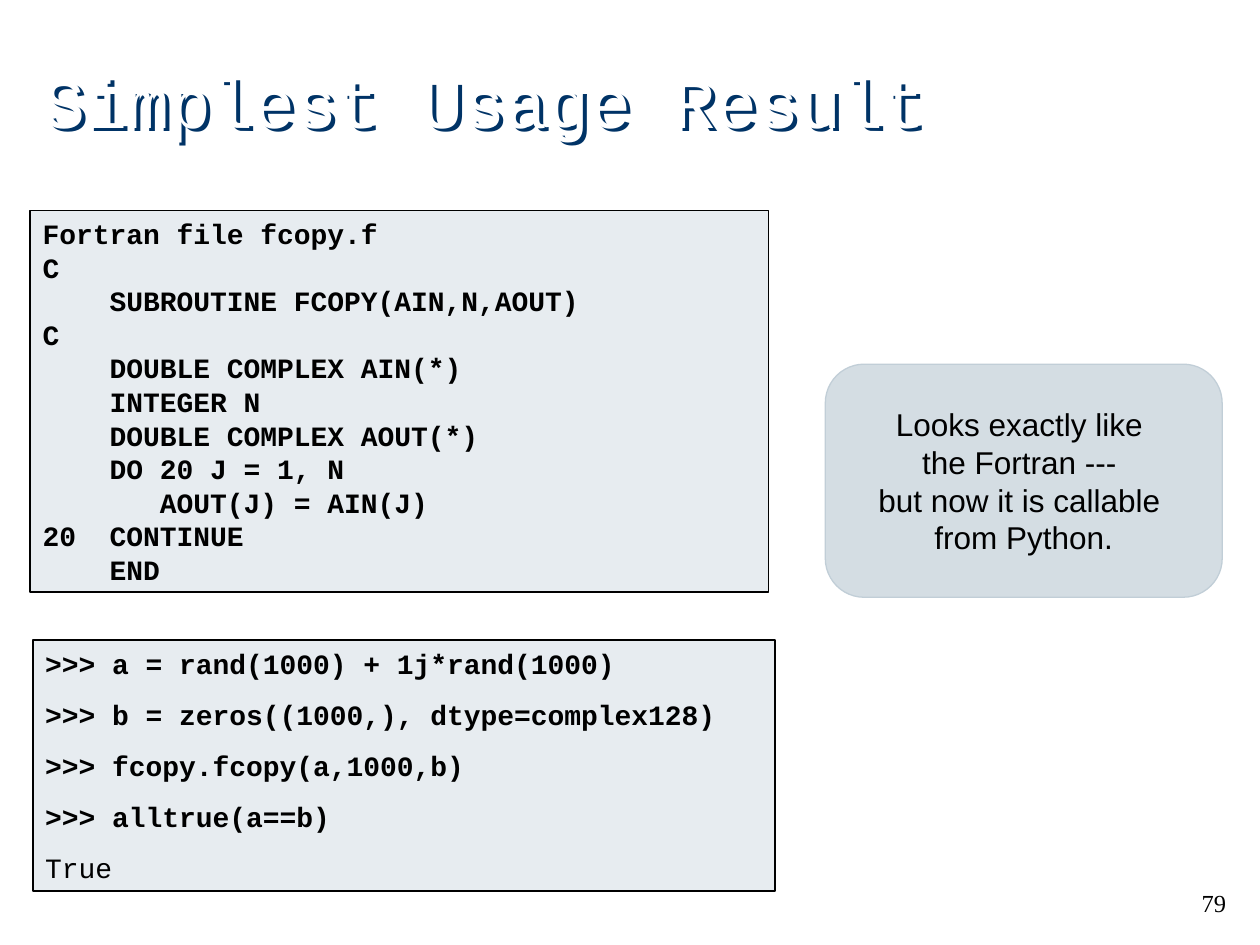
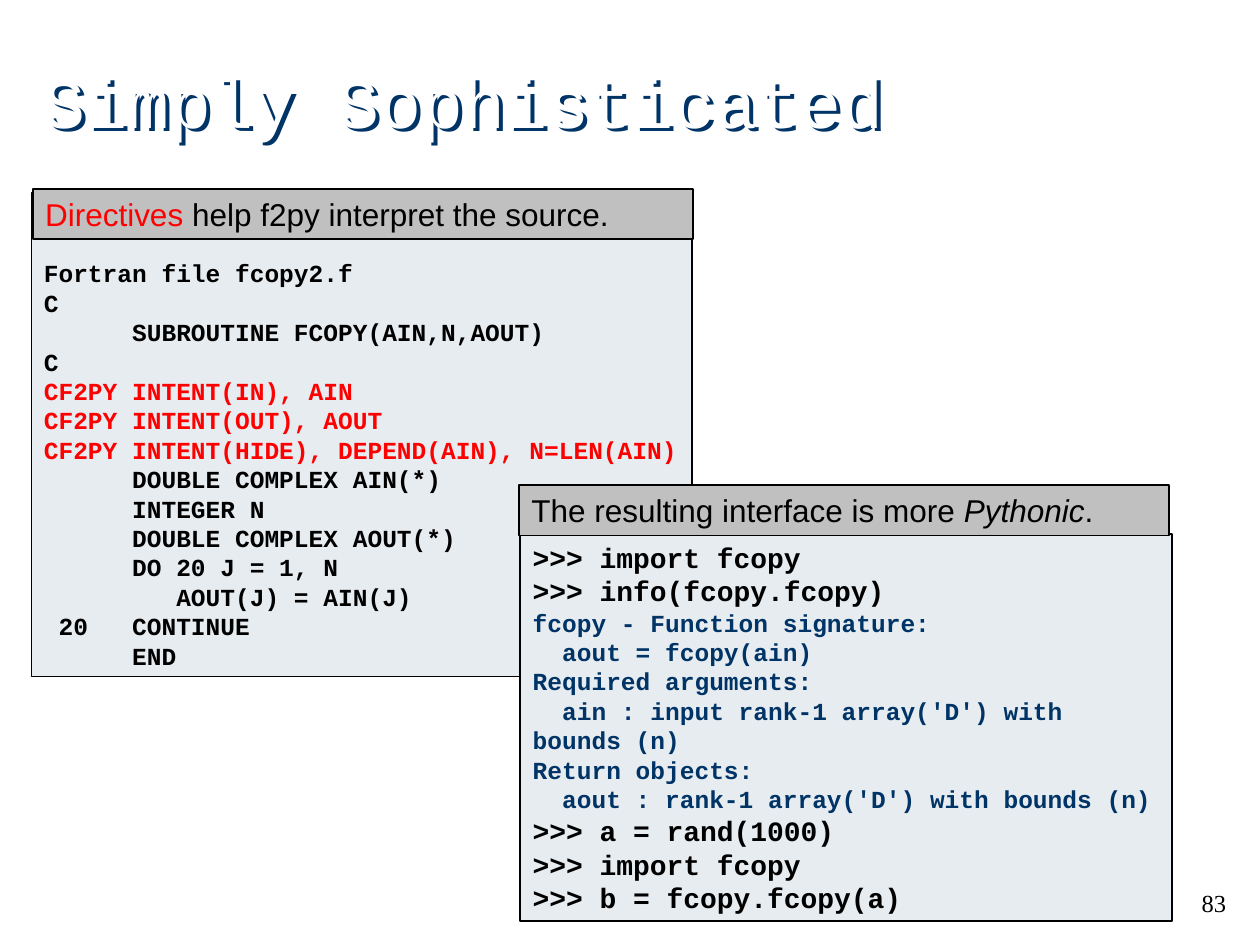
from lxml import etree
from pptx import Presentation
from pptx.dml.color import RGBColor
from pptx.enum.shapes import MSO_SHAPE as Shape
from pptx.enum.text import MSO_ANCHOR as Anchor, PP_ALIGN as Align
from pptx.oxml import parse_xml
from pptx.oxml.ns import nsdecls, qn
from pptx.util import Inches, Pt

# Shared look
WHITE = RGBColor(0xFF, 0xFF, 0xFF)
BLACK = RGBColor(0, 0, 0)
NAVY = RGBColor(0x00, 0x33, 0x66)
RED = RGBColor(0xFF, 0, 0)
CODE_FILL = RGBColor(0xE7, 0xEC, 0xF0)
BAR_FILL = RGBColor(0xC0, 0xC0, 0xC0)
CALLOUT = RGBColor(0xC1, 0xCE, 0xD7)
SANS, MONO, SERIF = "Arial", "Courier New", "Times New Roman"
LINE_HEIGHT = 1.2

FORTRAN = """Fortran file fcopy.f
C
    SUBROUTINE FCOPY(AIN,N,AOUT)
C
    DOUBLE COMPLEX AIN(*)
    INTEGER N
    DOUBLE COMPLEX AOUT(*)
    DO 20 J = 1, N
       AOUT(J) = AIN(J)
20  CONTINUE
    END"""

SESSION = """>>> a = rand(1000) + 1j*rand(1000)
>>> b = zeros((1000,), dtype=complex128)
>>> fcopy.fcopy(a,1000,b)
>>> alltrue(a==b)
True"""

DIRECTIVES = """Fortran file fcopy2.f
C
      SUBROUTINE FCOPY(AIN,N,AOUT)
C
CF2PY INTENT(IN), AIN
CF2PY INTENT(OUT), AOUT
CF2PY INTENT(HIDE), DEPEND(AIN), N=LEN(AIN)
      DOUBLE COMPLEX AIN(*)
      INTEGER N
      DOUBLE COMPLEX AOUT(*)
      DO 20 J = 1, N
         AOUT(J) = AIN(J)
 20   CONTINUE
      END"""

INTERFACE = """>>> import fcopy
>>> info(fcopy.fcopy)
fcopy - Function signature:
  aout = fcopy(ain)
Required arguments:
  ain : input rank-1 array('D') with bounds (n)
Return objects:
  aout : rank-1 array('D') with bounds (n)
>>> a = rand(1000)
>>> import fcopy
>>> b = fcopy.fcopy(a)"""


def add_run(paragraph, text, size, font, color=BLACK, bold=False, italic=False):
    run = paragraph.add_run()
    run.text = text
    run.font.size = Pt(size)
    run.font.name = font
    run.font.color.rgb = color
    run.font.bold = bold
    run.font.italic = italic


def next_paragraph(frame, index):
    return frame.add_paragraph() if index else frame.paragraphs[0]


def add_text_box(slide, place, text, size, font, color=BLACK,
                 align=Align.LEFT, anchor=Anchor.TOP):
    box = slide.shapes.add_textbox(*map(Inches, place))
    frame = box.text_frame
    frame.word_wrap = True
    frame.vertical_anchor = anchor
    frame.paragraphs[0].alignment = align
    add_run(frame.paragraphs[0], text, size, font, color)
    return box


def add_title(slide, text):
    """White title that stands out by its navy shadow."""
    box = add_text_box(slide, (0.25, 0.17, 8.5, 1.25), text, 40, MONO, WHITE,
                       anchor=Anchor.MIDDLE)
    box._element.spPr.append(parse_xml(
        f'<a:effectLst {nsdecls("a")}><a:outerShdw dist="{Inches(0.04)}" '
        f'dir="2700000" algn="ctr" rotWithShape="0">'
        f'<a:srgbClr val="{NAVY}"/></a:outerShdw></a:effectLst>'))


def add_panel(slide, kind, place, fill, line=BLACK, line_width=1.0):
    panel = slide.shapes.add_shape(kind, *map(Inches, place))
    panel.shadow.inherit = False
    panel.fill.solid()
    panel.fill.fore_color.rgb = fill
    panel.line.color.rgb = line
    panel.line.width = Pt(line_width)
    panel.text_frame.word_wrap = True
    panel.text_frame.vertical_anchor = Anchor.MIDDLE
    return panel


def add_code(slide, place, code, style, space_before=0, top_inset=0.05):
    """Code panel; style(line) gives size, colour and bold for each line."""
    frame = add_panel(slide, Shape.RECTANGLE, place, CODE_FILL).text_frame
    frame.vertical_anchor = Anchor.TOP
    frame.margin_top = Inches(top_inset)
    for index, line in enumerate(code.splitlines()):
        size, color, bold = style(line)
        paragraph = next_paragraph(frame, index)
        paragraph.alignment = Align.LEFT
        paragraph.line_spacing = Pt(size * LINE_HEIGHT)
        if index:
            paragraph.space_before = Pt(space_before)
        add_run(paragraph, line, size, MONO, color, bold)


def add_bar(slide, place, runs):
    """Grey heading bar above a code panel."""
    frame = add_panel(slide, Shape.RECTANGLE, place, BAR_FILL).text_frame
    paragraph = frame.paragraphs[0]
    paragraph.alignment = Align.LEFT
    paragraph.line_spacing = Pt(18 * LINE_HEIGHT)
    for text, color, italic in runs:
        add_run(paragraph, text, 18, SANS, color, italic=italic)


def add_callout(slide, place, lines):
    callout = add_panel(slide, Shape.ROUNDED_RECTANGLE, place, CALLOUT, CALLOUT, 0.75)
    fill_color = callout._element.spPr.find(qn("a:solidFill"))[0]
    etree.SubElement(fill_color, qn("a:alpha")).set("val", "69000")
    frame = callout.text_frame
    frame.word_wrap = False
    for index, line in enumerate(lines):
        paragraph = next_paragraph(frame, index)
        paragraph.alignment = Align.CENTER
        paragraph.line_spacing = Pt(18 * LINE_HEIGHT)
        add_run(paragraph, line, 18, SANS)


def add_slide(presentation, title, number):
    slide = presentation.slides.add_slide(presentation.slide_layouts[6])
    add_title(slide, title)
    add_text_box(slide, (7.75, 7, 2.08, 0.5), number, 14, SERIF, align=Align.RIGHT)
    return slide


# Line styles of the code panels
def fortran_style(line):
    return 16, BLACK, True


def session_style(line):
    return 16, BLACK, line.startswith(">>>")


def directive_style(line):
    return 14, RED if line.startswith("CF2PY") else BLACK, True


def interface_style(line):
    return (16, BLACK, True) if line.startswith(">>>") else (14, NAVY, True)


def build_usage_result(presentation):
    slide = add_slide(presentation, "Simplest Usage Result", "79")
    add_code(slide, (0.24, 1.67, 5.86, 3.03), FORTRAN, fortran_style)
    add_code(slide, (0.26, 5.08, 5.89, 1.99), SESSION, session_style, space_before=10)
    add_callout(slide, (6.55, 2.89, 3.15, 1.85),
                ["Looks exactly like ", "the Fortran --- ",
                 "but now it is callable ", "from Python."])


def build_sophisticated(presentation):
    slide = add_slide(presentation, "Simply Sophisticated", "83")
    add_code(slide, (0.25, 1.53, 5.24, 3.84), DIRECTIVES, directive_style,
             top_inset=0.52)
    add_code(slide, (4.13, 4.24, 5.17, 3.07), INTERFACE, interface_style)
    add_bar(slide, (0.26, 1.5, 5.24, 0.4),
            [("Directives", RED, False),
             (" help f2py interpret the source.", BLACK, False)])
    add_bar(slide, (4.12, 3.85, 5.16, 0.4),
            [("The resulting interface is more ", BLACK, False),
             ("Pythonic", BLACK, True), (".", BLACK, False)])


def main():
    presentation = Presentation()
    presentation.slide_width = Inches(10)
    presentation.slide_height = Inches(7.5)
    build_usage_result(presentation)
    build_sophisticated(presentation)
    presentation.save("out.pptx")


if __name__ == "__main__":
    main()
